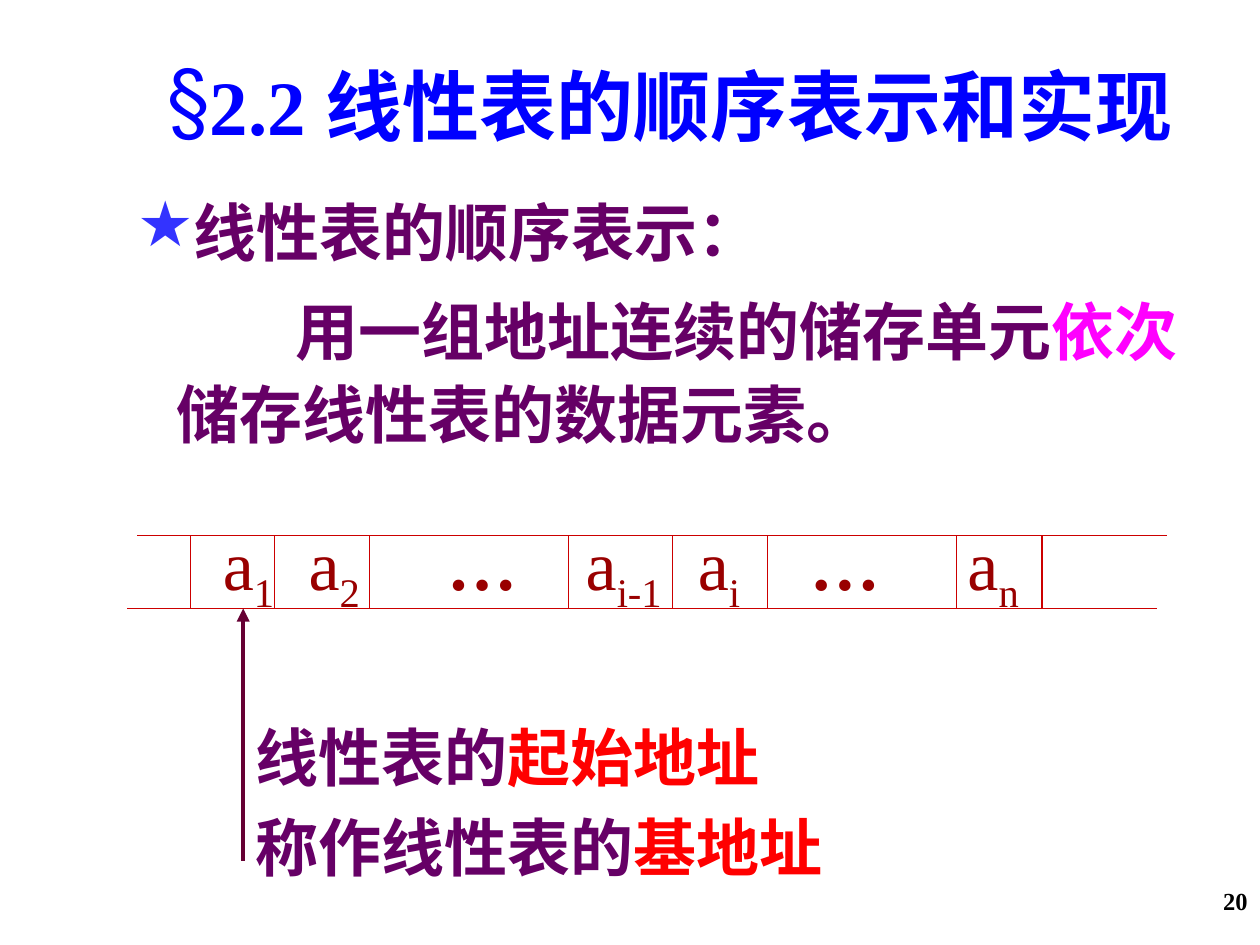
from typing import NamedTuple, Optional

from lxml.etree import SubElement
from pptx import Presentation
from pptx.dml.color import RGBColor
from pptx.enum.shapes import MSO_CONNECTOR as Connector
from pptx.enum.text import PP_ALIGN as Align
from pptx.oxml.ns import qn
from pptx.util import Inches, Pt

COLORS = {
    "title": "0000FF",
    "star": "3333FF",
    "body": "660066",
    "accent": "FF00FF",
    "address": "FF0000",
    "element": "990000",
    "cell": "CC0000",
    "arrow": "660033",
    "number": "000000",
}
FONT = "Times New Roman"
CELL_TOP, CELL_BOTTOM = 4.25, 4.83
DIVIDERS = [1.51, 2.18, 2.93, 4.51, 5.34, 6.09, 7.59, 8.27]


class Span(NamedTuple):
    text: str
    color: Optional[str] = None


class Element(NamedTuple):
    left: float
    base: str
    subscript: str = ""


class Line(NamedTuple):
    x1: float
    y1: float
    x2: float
    y2: float
    color: str = "cell"
    width: float = 0.75


ELEMENTS = [
    Element(1.77, "a", "1"),
    Element(2.45, "a", "2"),
    Element(3.55, "…"),
    Element(4.65, "a", "i-1"),
    Element(5.54, "a", "i"),
    Element(6.43, "…"),
    Element(7.68, "a", "n"),
]


def rgb(name: str) -> RGBColor:
    return RGBColor.from_string(COLORS[name])


def add_box(slide, left: float, top: float, width: float, height: float):
    box = slide.shapes.add_textbox(
        Inches(left), Inches(top), Inches(width), Inches(height))
    box.text_frame.word_wrap = True
    return box.text_frame


def set_indent(para, margin: float, first_line: float) -> None:
    properties = para._p.get_or_add_pPr()
    properties.set("marL", str(Inches(margin)))
    properties.set("indent", str(Inches(first_line)))


def add_bullet(para, mark: str, color: str) -> None:
    properties = para._p.get_or_add_pPr()
    fill = SubElement(properties, qn("a:buClr"))
    SubElement(fill, qn("a:srgbClr"), val=COLORS[color])
    SubElement(properties, qn("a:buChar"), char=mark)


def add_tabs(para, positions: list[float]) -> None:
    stops = SubElement(para._p.get_or_add_pPr(), qn("a:tabLst"))
    for position in positions:
        SubElement(stops, qn("a:tab"), pos=str(Inches(position)), algn="l")


def set_font(para, size: float, color: str, bold: bool = True) -> None:
    font = para.font
    font.name, font.size, font.bold = FONT, Pt(size), bold
    font.color.rgb = rgb(color)


def add_spans(para, *spans: Span) -> None:
    for span in spans:
        run = para.add_run()
        run.text = span.text
        if span.color:
            run.font.color.rgb = rgb(span.color)


def add_line(slide, line: Line):
    connector = slide.shapes.add_connector(
        Connector.STRAIGHT, Inches(line.x1), Inches(line.y1),
        Inches(line.x2), Inches(line.y2))
    connector.line.color.rgb = rgb(line.color)
    connector.line.width = Pt(line.width)
    SubElement(connector._element.spPr, qn("a:effectLst"))
    return connector


def add_title(slide) -> None:
    para = add_box(slide, 0.92, 0.5, 8.8, 0.76).paragraphs[0]
    para.alignment, para.line_spacing = Align.CENTER, 0.9
    add_bullet(para, "§", "title")
    set_font(para, 44, "title")
    add_spans(para, Span("2.2 线性表的顺序表示和实现"))


def add_body(slide) -> None:
    frame = add_box(slide, 0.49, 1.43, 9.23, 2.39)
    heading, definition = frame.paragraphs[0], frame.add_paragraph()
    set_indent(heading, 0.81, -0.31)
    add_bullet(heading, "★", "star")
    set_indent(definition, 0.81, 0.95)
    definition.space_before = Pt(9)
    for para in (heading, definition):
        para.line_spacing = 1.1
        set_font(para, 36, "body")
    add_spans(heading, Span("线性表的顺序表示："))
    add_spans(definition, Span("用一组地址连续的储存单元"),
              Span("依次", "accent"), Span("储存线性表的数据元素。"))


def add_elements(slide) -> None:
    """Write the list elements on one line, each at its own tab stop."""
    start = ELEMENTS[0].left
    para = add_box(slide, start - 0.1, 4.08, 6.61, 0.77).paragraphs[0]
    add_tabs(para, [element.left - start for element in ELEMENTS[1:]])
    set_font(para, 40, "element", bold=False)
    for index, element in enumerate(ELEMENTS):
        base = para.add_run()
        base.text = ("\t" if index else "") + element.base
        if element.subscript:
            subscript = para.add_run()
            subscript.text = element.subscript
            subscript._r.get_or_add_rPr().set("baseline", "-25000")
        else:
            base.font.bold = True


def add_cells(slide) -> None:
    for x in DIVIDERS:
        add_line(slide, Line(x, CELL_TOP, x, CELL_BOTTOM))
    add_line(slide, Line(1.09, CELL_TOP, 9.26, CELL_TOP))
    add_line(slide, Line(1.01, CELL_BOTTOM, 9.18, CELL_BOTTOM))


def add_address(slide) -> None:
    arrow = add_line(slide, Line(1.93, 6.83, 1.93, CELL_BOTTOM, "arrow", 2.5))
    SubElement(arrow.line._get_or_add_ln(), qn("a:tailEnd"), type="triangle")
    frame = add_box(slide, 1.93, 5.53, 4.9, 2.14)
    captions = [("线性表的", "起始地址"), ("称作线性表的", "基地址")]
    for index, (lead, term) in enumerate(captions):
        para = frame.add_paragraph() if index else frame.paragraphs[0]
        para.line_spacing = 1.2
        set_font(para, 36, "body")
        add_spans(para, Span(lead), Span(term, "address"))


def add_page_number(slide) -> None:
    para = add_box(slide, 7.67, 6.98, 2.33, 0.52).paragraphs[0]
    para.alignment = Align.RIGHT
    set_font(para, 14, "number")
    add_spans(para, Span("20"))


def main() -> None:
    deck = Presentation()
    deck.slide_width, deck.slide_height = Inches(10), Inches(7.5)
    slide = deck.slides.add_slide(deck.slide_layouts[6])
    for draw in (add_body, add_title, add_elements, add_cells,
                 add_address, add_page_number):
        draw(slide)
    deck.save("out.pptx")


if __name__ == "__main__":
    main()
